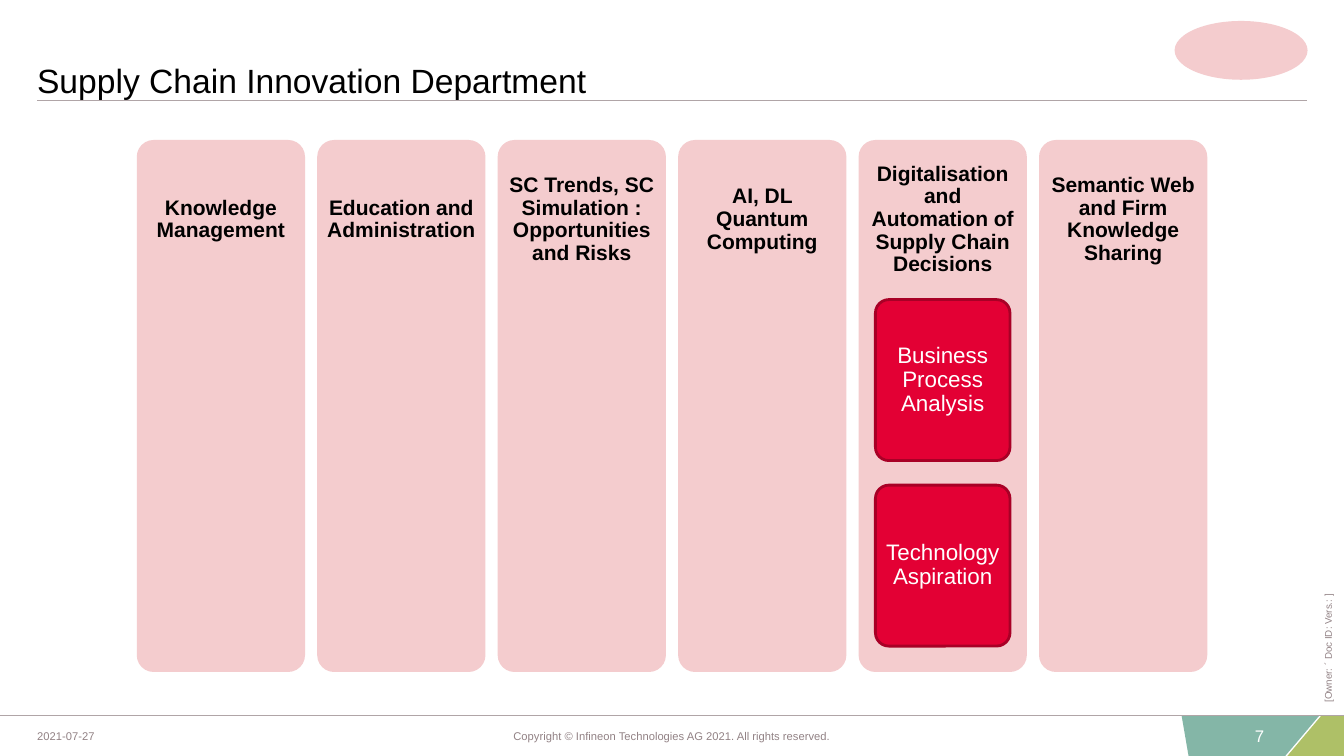
"""Build the Supply Chain Innovation Department slide."""
from dataclasses import dataclass

from lxml import etree
from pptx import Presentation
from pptx.dml.color import RGBColor
from pptx.enum import shapes, text
from pptx.oxml import ns
from pptx.util import Pt


@dataclass(frozen=True)
class Theme:
    """Colours, font and type sizes of the slide."""
    font: str = "Arial"
    ink: str = "000000"
    white: str = "FFFFFF"
    muted: str = "928285"
    rule: str = "B0A5A7"
    panel: str = "F4CCCE"
    card: str = "E30034"
    card_edge: str = "A80026"
    teal: str = "84B6A7"
    olive: str = "AEC067"
    title_size: int = 24
    card_size: int = 16
    heading_size: int = 15
    number_size: int = 12
    footer_size: int = 8
    owner_size: int = 7


@dataclass(frozen=True)
class Box:
    """A rectangle in points."""
    left: float
    top: float
    width: float
    height: float

    def inner(self, left, top, width, height):
        """Return a box placed relative to this one."""
        return Box(self.left + left, self.top + top, width, height)

    def lengths(self):
        """Return position and size as slide lengths."""
        return [Pt(n) for n in (self.left, self.top, self.width, self.height)]


THEME = Theme()
ALIGN = text.PP_ALIGN
ANCHOR = text.MSO_ANCHOR
COLUMNS = [
    ("Knowledge Management", []),
    ("Education and Administration", []),
    ("SC Trends, SC Simulation : Opportunities and Risks", []),
    ("AI, DL Quantum Computing", []),
    ("Digitalisation and Automation of Supply Chain Decisions",
     ["Business Process Analysis", "Technology Aspiration"]),
    ("Semantic Web and Firm Knowledge Sharing", []),
]


def write(shape, words, size, color, align=ALIGN.LEFT, anchor=ANCHOR.MIDDLE,
          insets=(0, 0, 0, 0), wrap=True, bold=False, spacing=None):
    """Write one formatted paragraph into a shape."""
    frame = shape.text_frame
    frame.word_wrap = wrap
    frame.auto_size = text.MSO_AUTO_SIZE.NONE
    frame.vertical_anchor = anchor
    (frame.margin_left, frame.margin_top,
     frame.margin_right, frame.margin_bottom) = [Pt(n) for n in insets]
    para = frame.paragraphs[0]
    para.alignment = align
    para.line_spacing = spacing
    span = para.add_run()
    span.text = words
    span.font.name = THEME.font
    span.font.size = Pt(size)
    span.font.bold = bold
    span.font.color.rgb = RGBColor.from_string(color)


def add_label(page, box, words, size, color, **style):
    """Add a text box with one paragraph."""
    label = page.shapes.add_textbox(*box.lengths())
    write(label, words, size, color, **style)
    return label


def paint(shape, fill, edge=None):
    """Give a shape a flat fill and an optional edge."""
    shape.shadow.inherit = False
    shape.fill.solid()
    shape.fill.fore_color.rgb = RGBColor.from_string(fill)
    if edge:
        shape.line.color.rgb = RGBColor.from_string(edge)
        shape.line.width = Pt(2)
    else:
        shape.line.fill.background()


def add_rounded(page, box, fill, edge=None):
    """Add a rounded rectangle."""
    shape = page.shapes.add_shape(
        shapes.MSO_SHAPE.ROUNDED_RECTANGLE, *box.lengths())
    shape.adjustments[0] = 0.1
    paint(shape, fill, edge)
    return shape


def add_rule(page, left, top, width):
    """Add a thin horizontal line."""
    rule = page.shapes.add_connector(
        shapes.MSO_CONNECTOR.STRAIGHT, Pt(left), Pt(top), Pt(left + width), Pt(top))
    rule.line.color.rgb = RGBColor.from_string(THEME.rule)
    rule.line.width = Pt(0.75)
    etree.SubElement(rule._element.spPr, ns.qn("a:effectLst"))


def add_polygon(page, points, fill):
    """Add a closed filled outline."""
    corners = [(Pt(x), Pt(y)) for x, y in points]
    builder = page.shapes.build_freeform(*corners[0])
    builder.add_line_segments(corners[1:], close=True)
    paint(builder.convert_to_shape(), fill)


def draw_header(page, box):
    """Place the title, its rule and the emblem."""
    title = page.shapes.title
    title.left, title.top, title.width, title.height = box.inner(
        0, 0, 757, box.height).lengths()
    write(title, "Supply Chain Innovation Department", THEME.title_size,
          THEME.ink, anchor=ANCHOR.BOTTOM, insets=(0, 0, 0, 0.7))
    add_rule(page, box.left, box.top + box.height - 0.5, box.width)
    emblem = page.shapes.add_shape(
        shapes.MSO_SHAPE.OVAL, *box.inner(box.width - 94.5, 0, 95, 42).lengths())
    paint(emblem, THEME.panel)


def draw_column(page, box, heading, cards):
    """Place one department column with its cards."""
    add_rounded(page, box, THEME.panel)
    heading_height = box.height * 0.3
    add_label(page, box.inner(0, 0, box.width, heading_height), heading,
              THEME.heading_size, THEME.ink, align=ALIGN.CENTER,
              insets=(4.2,) * 4, bold=True, spacing=0.9)
    margin = box.width * 0.1
    for index, words in enumerate(cards):
        card = add_rounded(
            page, box.inner(margin, heading_height + index * 132.5,
                            box.width - 2 * margin, 115),
            THEME.card, THEME.card_edge)
        write(card, words, THEME.card_size, THEME.white, align=ALIGN.CENTER,
              insets=(3, 2.2, 3, 2.2), spacing=0.9)


def draw_columns(page, box):
    """Spread the department columns evenly over the box."""
    width = 120.2
    pitch = (box.width - width) / (len(COLUMNS) - 1)
    for index, (heading, cards) in enumerate(COLUMNS):
        draw_column(page, box.inner(index * pitch, 0, width, box.height),
                    heading, cards)


def draw_footer(page, box):
    """Place the footer rule, corner shapes, date, notice and page number."""
    right, top, bottom = box.left + box.width, box.top, box.top + box.height
    add_polygon(page, [(right - 16, top), (right, top), (right, bottom),
                       (right - 40.5, bottom)], THEME.olive)
    add_polygon(page, [(right - 116, top), (right - 17.5, top),
                       (right - 42, bottom), (right - 111, bottom)], THEME.teal)
    add_rule(page, box.left, top, box.width)
    small = (THEME.footer_size, THEME.muted)
    add_label(page, box.inner(26.5, 0, 48, box.height), "2021-07-27",
              *small, wrap=False)
    add_label(page, box.inner(358, 0, 244, box.height),
              "Copyright © Infineon Technologies AG 2021. All rights reserved.",
              *small, align=ALIGN.CENTER, wrap=False)
    add_label(page, box.inner(873, 0, 30, box.height), "7",
              THEME.number_size, THEME.white, align=ALIGN.RIGHT)


def draw_owner(page, box):
    """Place the document label, reading upwards."""
    label = add_label(page, box, "[Owner: ´ Doc ID: Vers.: ]",
                      THEME.owner_size, THEME.muted, wrap=False)
    label.rotation = 270


def main():
    """Build and save the deck."""
    deck = Presentation()
    deck.slide_width, deck.slide_height = Pt(960), Pt(540)
    page = deck.slides.add_slide(deck.slide_layouts[5])
    draw_footer(page, Box(0, 511, 960, 29))
    draw_header(page, Box(26.5, 15, 907, 57))
    draw_owner(page, Box(846.5, 390, 204, 19.5))
    draw_columns(page, Box(97.7, 100, 764.7, 380))
    deck.save("out.pptx")


if __name__ == "__main__":
    main()
